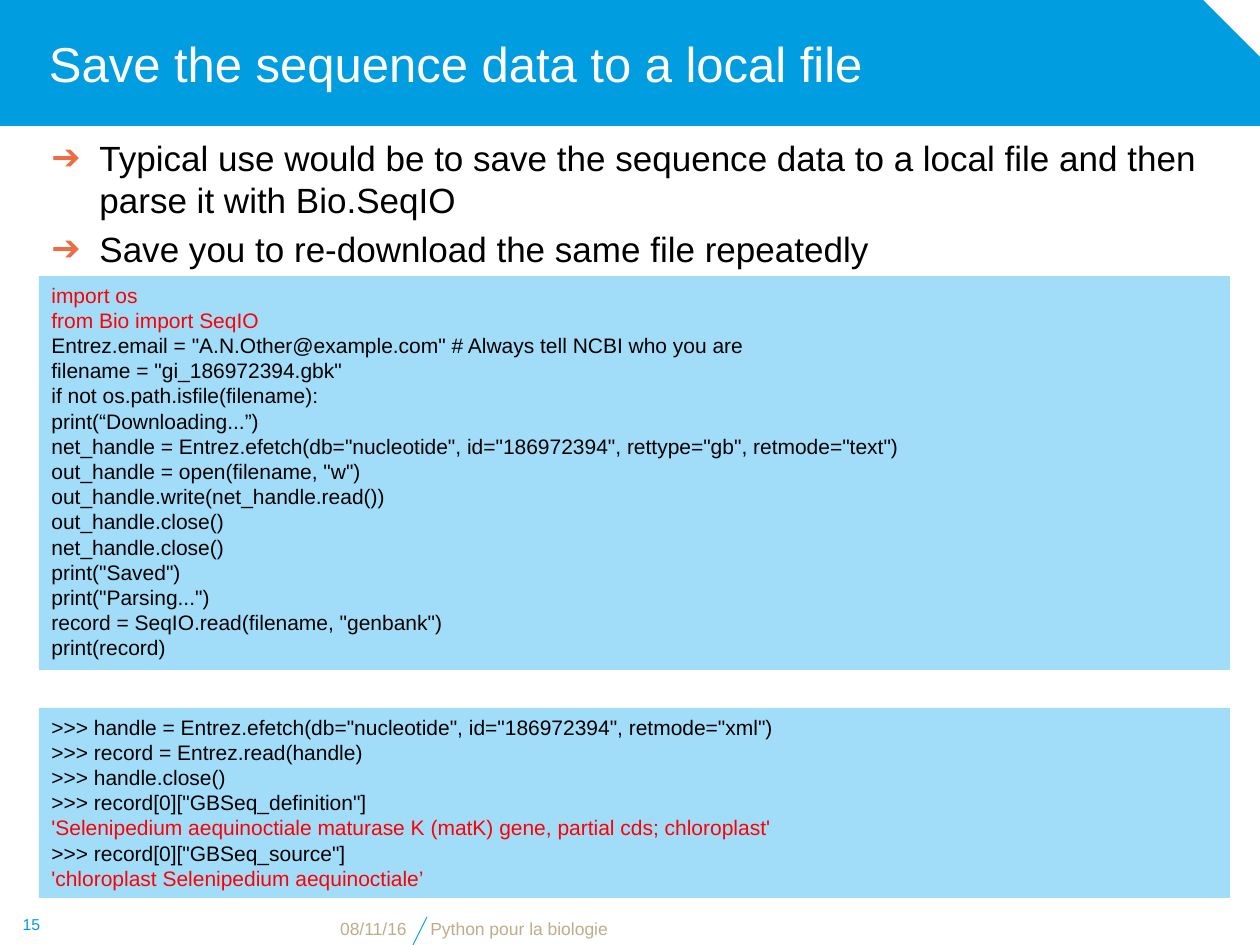
from lxml.etree import SubElement
from pptx import Presentation
from pptx.dml.color import RGBColor
from pptx.enum.shapes import MSO_CONNECTOR, MSO_SHAPE
from pptx.enum.text import MSO_ANCHOR, PP_ALIGN
from pptx.oxml.ns import qn
from pptx.util import Emu, Pt

COLORS = {
    "band": "009DE0",
    "panel": "A1DDF9",
    "bullet": "EC6C43",
    "footer": "BEAD8A",
    "output": "FF0000",
    "text": "000000",
    "title": "FFFFFF",
}

TITLE = "Save the sequence data to a local file"
POINTS = [
    "Typical use would be to save the sequence data to a local file and then parse it with Bio.SeqIO",
    "Save you to re-download the same file repeatedly",
]
DOWNLOAD_CODE = """import os
from Bio import SeqIO
Entrez.email = "A.N.Other@example.com" # Always tell NCBI who you are
filename = "gi_186972394.gbk"
if not os.path.isfile(filename):
print(“Downloading...”)
net_handle = Entrez.efetch(db="nucleotide", id="186972394", rettype="gb", retmode="text")
out_handle = open(filename, "w")
out_handle.write(net_handle.read())
out_handle.close()
net_handle.close()
print("Saved")
print("Parsing...")
record = SeqIO.read(filename, "genbank")
print(record)""".split("\n")
XML_CODE = """>>> handle = Entrez.efetch(db="nucleotide", id="186972394", retmode="xml")
>>> record = Entrez.read(handle)
>>> handle.close()
>>> record[0]["GBSeq_definition"]
'Selenipedium aequinoctiale maturase K (matK) gene, partial cds; chloroplast'
>>> record[0]["GBSeq_source"]
'chloroplast Selenipedium aequinoctiale’""".split("\n")


def px(count):
    """Turn slide pixels into EMU."""
    return Emu(round(count * 914400 / 126))


def color(name):
    """Look up a named colour."""
    return RGBColor.from_string(COLORS[name])


def add_panel(page, kind, box, fill):
    """Place a flat, borderless filled shape."""
    panel = page.shapes.add_shape(kind, *map(px, box))
    panel.shadow.inherit = False
    panel.fill.solid()
    panel.fill.fore_color.rgb = color(fill)
    panel.line.fill.background()
    return panel


def write_lines(shape, lines, size, tint, align=PP_ALIGN.LEFT, anchor=MSO_ANCHOR.TOP):
    """Write one paragraph per line and return the paragraphs."""
    frame = shape.text_frame
    frame.word_wrap = True
    frame.vertical_anchor = anchor
    frame.text = "\n".join(lines)
    for para in frame.paragraphs:
        para.alignment = align
        para.font.name = "Arial"
        para.font.size = Pt(size)
        para.font.color.rgb = color(tint)
    return frame.paragraphs


def add_title(page, box):
    """Draw the title band with its snipped corner and heading."""
    left, top, width, height = box
    band = add_panel(page, MSO_SHAPE.SNIP_1_RECTANGLE, box, "band")
    band.adjustments[0] = 0.46
    heading = page.shapes.add_textbox(*map(px, (left, top, width - 64, height)))
    heading.text_frame.margin_left = px(49)
    write_lines(heading, [TITLE], 28, "title", anchor=MSO_ANCHOR.MIDDLE)


def add_points(page, box):
    """Write the arrow-bulleted points."""
    body = page.shapes.add_textbox(*map(px, box))
    for para in write_lines(body, POINTS, 20, "text"):
        para.space_before = Pt(4)
        props = para._p.get_or_add_pPr()
        props.set("marL", str(px(48)))
        props.set("indent", str(px(-48)))
        tint = SubElement(props, qn("a:buClr"))
        SubElement(tint, qn("a:srgbClr"), val=COLORS["bullet"])
        SubElement(props, qn("a:buFont"), typeface="Arial")
        SubElement(props, qn("a:buChar"), char="➔")


def add_code(page, box, lines, red_rows):
    """Draw a code panel with the given rows in red."""
    panel = add_panel(page, MSO_SHAPE.RECTANGLE, box, "panel")
    paras = write_lines(panel, lines, 12, "text")
    for row in red_rows:
        paras[row].font.color.rgb = color("output")


def add_footer(page, box):
    """Place the page number, date, slash and course name."""
    left, top, width, height = box
    bottom = top + height
    slash = page.shapes.add_connector(
        MSO_CONNECTOR.STRAIGHT, px(left + 413), px(bottom), px(left + 427), px(bottom - 28)
    )
    slash.line.color.rgb = color("band")
    slash.line.width = Pt(0.5)
    SubElement(slash._element.spPr, qn("a:effectLst"))
    parts = [
        ("08/11/16", 125, 294, 29, 10, "footer", PP_ALIGN.RIGHT, MSO_ANCHOR.BOTTOM),
        ("Python pour la biologie", 418, width - 536, 29, 10, "footer", PP_ALIGN.LEFT, MSO_ANCHOR.BOTTOM),
        ("15", 0, 63, height, 9, "band", PP_ALIGN.CENTER, MSO_ANCHOR.MIDDLE),
    ]
    for text, offset, part_width, part_height, size, tint, align, anchor in parts:
        part = page.shapes.add_textbox(
            px(left + offset), px(bottom - part_height), px(part_width), px(part_height)
        )
        write_lines(part, [text], size, tint, align, anchor)


def main():
    """Build and save the slide."""
    deck = Presentation()
    deck.slide_width, deck.slide_height = px(1260), px(945)
    page = deck.slides.add_slide(deck.slide_layouts[6])
    add_title(page, (0, 0, 1261, 126))
    add_points(page, (39, 130, 1191, 81))
    add_footer(page, (0, 903, 1260, 42))
    add_code(page, (39, 276, 1191, 394), DOWNLOAD_CODE, (0, 1))
    add_code(page, (39, 708, 1191, 190), XML_CODE, (4, 6))
    deck.save("out.pptx")


if __name__ == "__main__":
    main()
